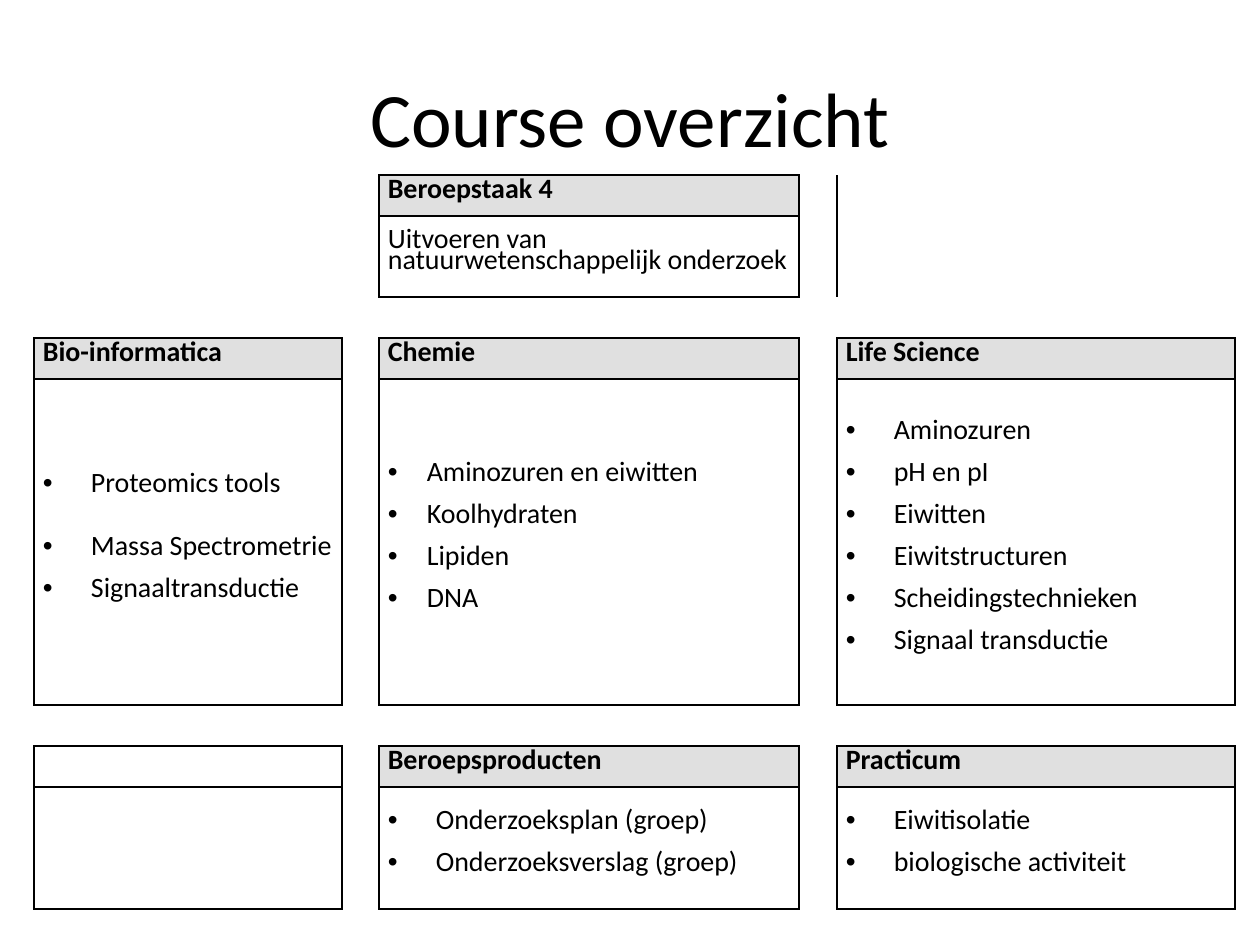
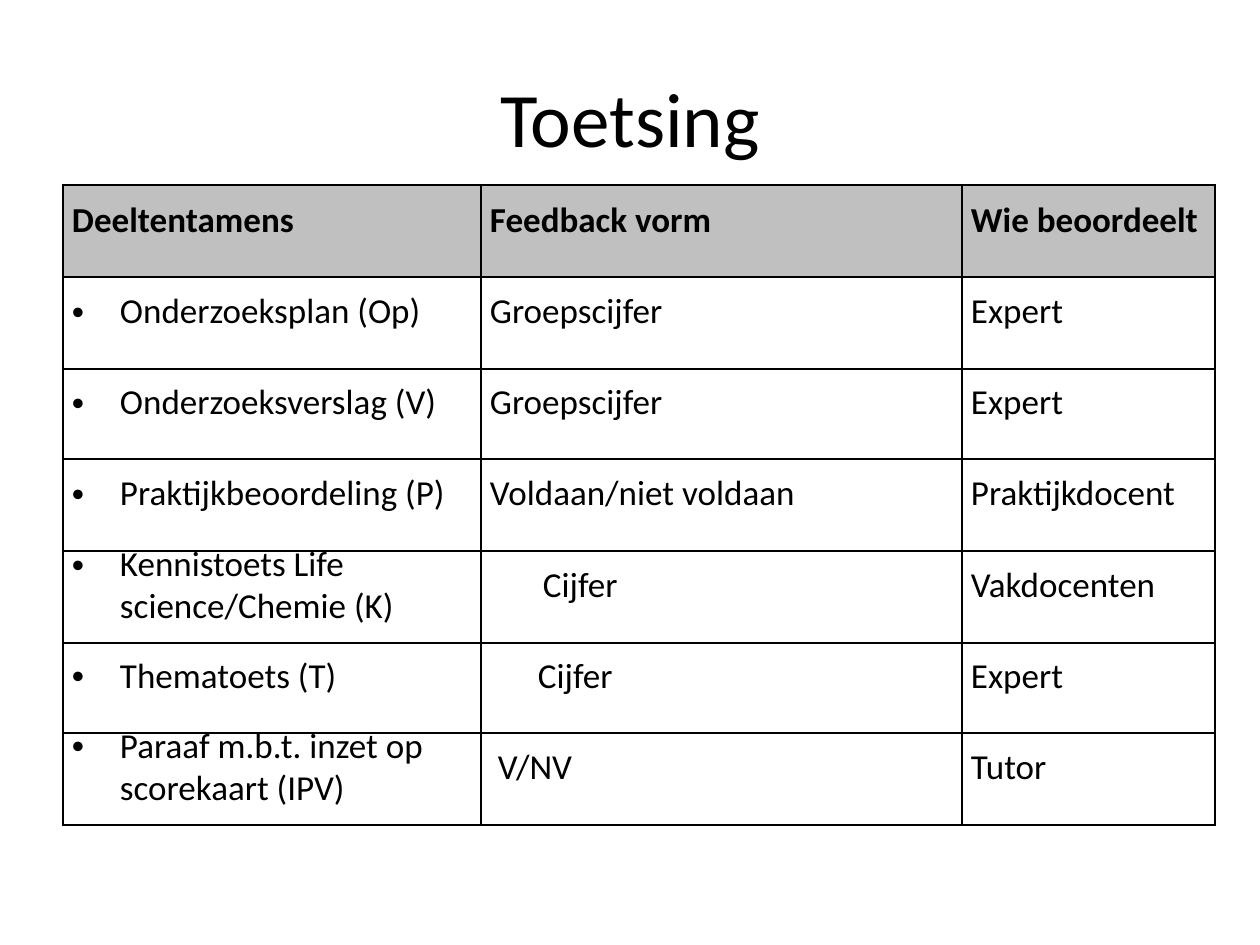
from dataclasses import dataclass

from lxml.etree import SubElement
from pptx import Presentation
from pptx.dml.color import RGBColor
from pptx.enum.text import MSO_ANCHOR, PP_ALIGN
from pptx.oxml.ns import qn
from pptx.util import Inches, Pt

BLACK = RGBColor(0x00, 0x00, 0x00)
LIGHT_GREY = RGBColor(0xE0, 0xE0, 0xE0)
MID_GREY = RGBColor(0xC0, 0xC0, 0xC0)
FONT = "Calibri"
SCALE = Inches(1) / 126
NO_STYLE = "{2D5ABB26-0587-4C30-8999-92F81FD0307C}"
EDGES = {"lnL": (0, -1), "lnR": (0, 1), "lnT": (-1, 0), "lnB": (1, 0)}


def px(length):
    """Turn px into EMU."""
    return round(length * SCALE)


@dataclass
class Line:
    """One paragraph of a table cell."""

    text: str
    left: int = 0
    bullet: bool = False
    gap: int = 0
    bold: bool = False


def heading(text):
    """Return the content of a shaded heading cell."""
    return [Line(text, bold=True)]


def bullets(*texts, left=48):
    """Return bulleted lines with a gap of one line between them."""
    return [Line(text, left, True, 12 if index else 0) for index, text in enumerate(texts)]


class Deck:
    """Holds the style and the current slide."""

    def __init__(self):
        """Start an empty presentation."""
        self.presentation = Presentation()
        self.presentation.slide_width = px(1260)
        self.presentation.slide_height = px(945)
        self.slide = None

    def add_slide(self, title):
        """Add a blank slide with a centred title."""
        self.slide = self.presentation.slides.add_slide(self.presentation.slide_layouts[6])
        frame = self.slide.shapes.add_textbox(px(63), px(38), px(1134), px(158)).text_frame
        frame.word_wrap = True
        frame.vertical_anchor = MSO_ANCHOR.MIDDLE
        paragraph = frame.paragraphs[0]
        paragraph.alignment = PP_ALIGN.CENTER
        self.add_run(paragraph, title, 44)

    def add_run(self, paragraph, text, size, bold=False):
        """Add one styled run."""
        run = paragraph.add_run()
        run.text = text
        run.font.name = FONT
        run.font.size = Pt(size)
        run.font.bold = bold
        run.font.color.rgb = BLACK

    def add_line(self, paragraph, line, size):
        """Fill a cell paragraph with a line of text."""
        paragraph.space_before = Pt(line.gap)
        properties = paragraph._p.get_or_add_pPr()
        properties.set("marL", str(px(line.left)))
        properties.set("indent", str(px(-line.left) if line.bullet else 0))
        if line.bullet:
            SubElement(properties, qn("a:buFont"), typeface="Arial")
            SubElement(properties, qn("a:buChar"), char="•")
        self.add_run(paragraph, line.text, size, line.bold)

    def add_borders(self, cell, edges):
        """Draw the named edges of a cell."""
        properties = cell._tc.get_or_add_tcPr()
        for edge in edges:
            border = SubElement(properties, qn(f"a:{edge}"), w=str(Pt(1)))
            fill = SubElement(border, qn("a:solidFill"))
            SubElement(fill, qn("a:srgbClr"), val=str(BLACK))

    def add_table(self, left, top, widths, heights, rows, size, shade):
        """Add a table in which None marks an open space between boxes."""
        frame = self.slide.shapes.add_table(
            len(heights), len(widths), px(left), px(top), px(sum(widths)), px(sum(heights)))
        table = frame.table
        table.first_row = table.horz_banding = False
        table._tbl.tblPr.find(qn("a:tableStyleId")).text = NO_STYLE
        for column, width in zip(table.columns, widths):
            column.width = px(width)
        for row, height in zip(table.rows, heights):
            row.height = px(height)
        boxes = {(r, c) for r, row in enumerate(rows)
                 for c, lines in enumerate(row) if lines is not None}
        for r, row in enumerate(rows):
            for c, lines in enumerate(row):
                cell = table.cell(r, c)
                self.add_borders(cell, [edge for edge, (down, right) in EDGES.items()
                                        if {(r, c), (r + down, c + right)} & boxes])
                self.fill_cell(cell, lines or [], size, shade)

    def fill_cell(self, cell, lines, size, shade):
        """Set the fill, the margins and the text of a cell."""
        if lines and lines[0].bold:
            cell.fill.solid()
            cell.fill.fore_color.rgb = shade
        else:
            cell.fill.background()
        cell.margin_left = cell.margin_right = px(9)
        cell.margin_top = cell.margin_bottom = 0
        cell.vertical_anchor = MSO_ANCHOR.MIDDLE
        frame = cell.text_frame
        for _ in lines[1:]:
            frame.add_paragraph()
        for paragraph in frame.paragraphs:
            paragraph.line_spacing = Pt(12)
        for paragraph, line in zip(frame.paragraphs, lines):
            self.add_line(paragraph, line, size)


def add_course_overview(deck):
    """Build the slide with the parts of the course."""
    deck.add_slide("Course overzicht")
    informatics = bullets("Proteomics tools", "Massa Spectrometrie", "Signaaltransductie")
    informatics[1].gap = 24
    chemistry = bullets("Aminozuren en eiwitten", "Koolhydraten", "Lipiden", "DNA", left=39)
    life_science = bullets("Aminozuren", "pH en pI", "Eiwitten", "Eiwitstructuren",
                           "Scheidingstechnieken", "Signaal transductie")
    products = bullets("Onderzoeksplan (groep)", "Onderzoeksverslag (groep)")
    practical = bullets("Eiwitisolatie", "biologische activiteit")
    task = [Line("Uitvoeren van natuurwetenschappelijk onderzoek")]
    space = [None] * 5
    rows = [
        [None, None, heading("Beroepstaak 4"), None, None],
        [None, None, task, None, None],
        space,
        [heading("Bio-informatica"), None, heading("Chemie"), None, heading("Life Science")],
        [informatics, None, chemistry, None, life_science],
        space,
        [[], None, heading("Beroepsproducten"), None, heading("Practicum")],
        [[], None, products, None, practical],
    ]
    deck.add_table(34, 175, [308, 37, 420, 38, 398],
                   [41, 81, 41, 41, 326, 41, 41, 122], rows, 16, LIGHT_GREY)


def add_assessment(deck):
    """Build the slide with the partial exams."""
    deck.add_slide("Toetsing")
    exams = [
        (["Onderzoeksplan (Op)"], "Groepscijfer", 0, "Expert"),
        (["Onderzoeksverslag (V)"], "Groepscijfer", 0, "Expert"),
        (["Praktijkbeoordeling (P)"], "Voldaan/niet voldaan", 0, "Praktijkdocent"),
        (["Kennistoets Life", "science/Chemie (K)"], "Cijfer", 53, "Vakdocenten"),
        (["Thematoets (T)"], "Cijfer", 48, "Expert"),
        (["Paraaf m.b.t. inzet op", "scorekaart (IPV)"], "V/NV", 8, "Tutor"),
    ]
    rows = [[heading(text) for text in ("Deeltentamens", "Feedback vorm", "Wie beoordeelt")]]
    for (name, *rest), feedback, left, assessor in exams:
        exam = bullets(name) + [Line(text, 48, gap=12) for text in rest]
        rows.append([exam, [Line(feedback, left)], [Line(assessor)]])
    deck.add_table(63, 185, [418, 481, 253], [92, 92, 90, 92, 92, 90, 92], rows, 20, MID_GREY)


def main():
    """Build and save both slides."""
    deck = Deck()
    add_course_overview(deck)
    add_assessment(deck)
    deck.presentation.save("out.pptx")


if __name__ == "__main__":
    main()
